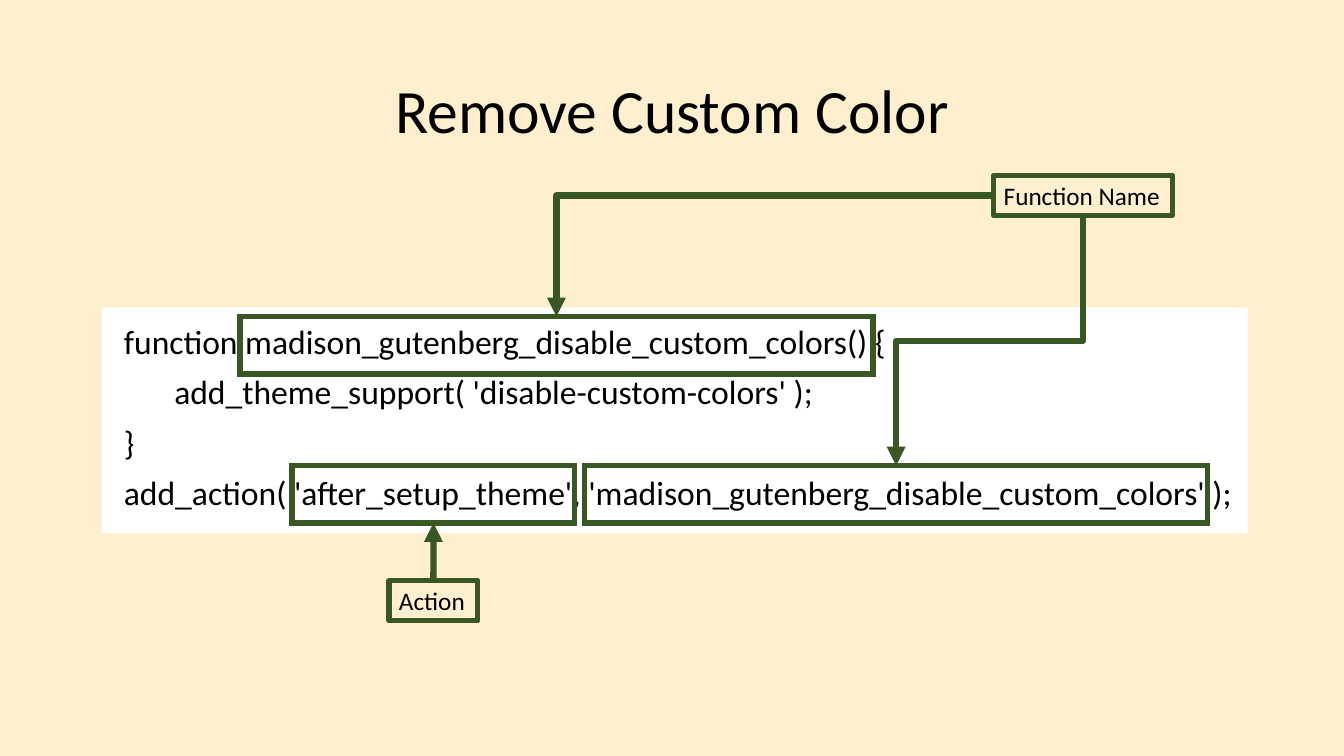
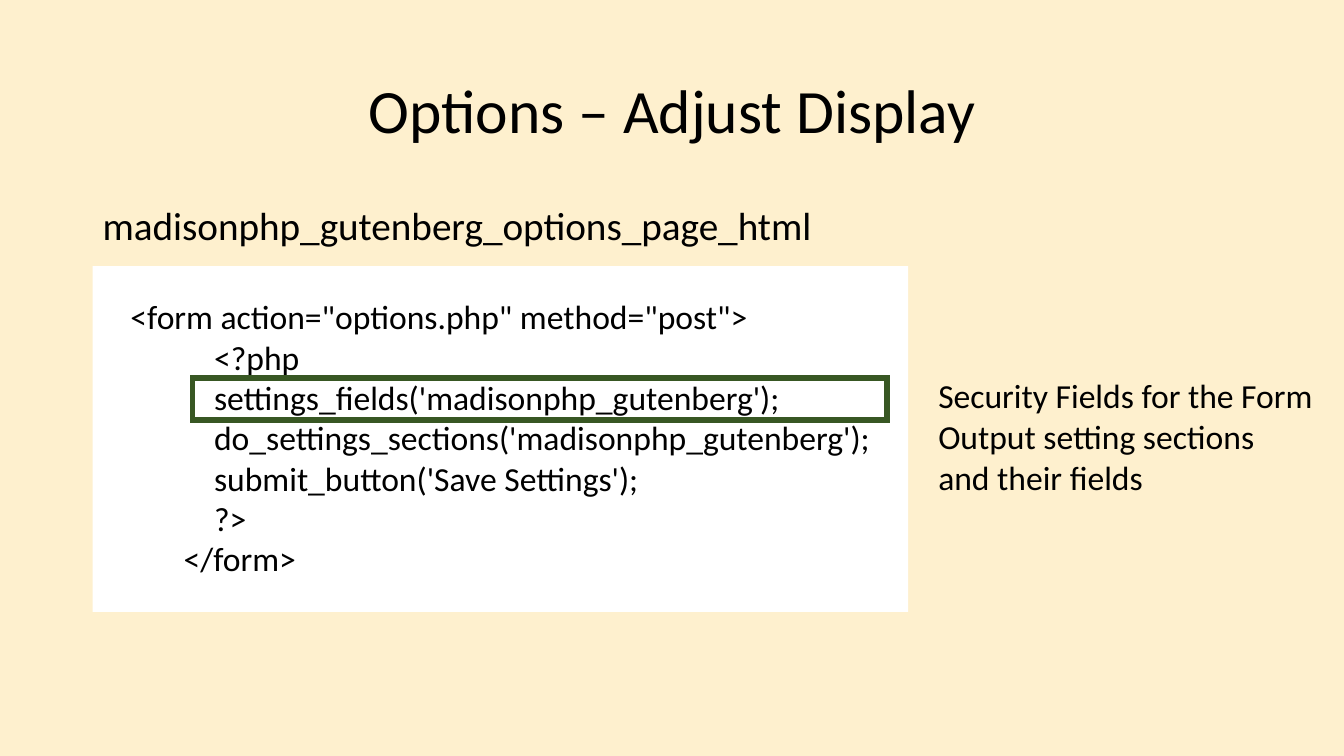
from dataclasses import dataclass

import lxml.etree
import pptx
import pptx.dml.color
import pptx.enum.shapes
import pptx.enum.text
import pptx.oxml.ns
import pptx.util
from pptx.shapes.autoshape import Shape
from pptx.shapes.connector import Connector
from pptx.slide import Slide

FONT = "Calibri"
CREAM = "FEF0CE"
GREEN = "385723"
WHITE = "FFFFFF"
BLACK = "000000"
TITLE_ONLY = 5
TOP, LEFT, BOTTOM = 0, 1, 2


@dataclass(frozen=True)
class Box:
    left: float
    top: float
    width: float
    height: float

    def lengths(self) -> list[pptx.util.Length]:
        return [pptx.util.Pt(value) for value in (self.left, self.top, self.width, self.height)]


@dataclass(frozen=True)
class Label:
    text: str
    box: Box
    wrap: bool = False


TITLE_BOX = Box(66.2, 28.8, 828, 104.4)

ACTION_CODE = """function madison_gutenberg_disable_custom_colors() {
\tadd_theme_support( 'disable-custom-colors' );
}
add_action( 'after_setup_theme', 'madison_gutenberg_disable_custom_colors' );"""

FORM_CODE = """ <form action="options.php" method="post">
            <?php
            settings_fields('madisonphp_gutenberg');
            do_settings_sections('madisonphp_gutenberg');
            submit_button('Save Settings');
            ?>
        </form>"""

DEFINITION_BOX = Box(171.4, 226.1, 452.2, 41)
HOOK_BOX = Box(208.8, 332.6, 201.6, 41)
CALLBACK_BOX = Box(417.6, 332.6, 445, 41)
FUNCTION_LABEL = Label("Function Name", Box(709.9, 125.3, 127.4, 28.8))
ACTION_LABEL = Label("Action", Box(277.9, 414.7, 63.4, 28.8), wrap=True)
NOTES = [
    Label("Security Fields for the Form", Box(663.1, 264.2, 284.4, 36)),
    Label("Output setting sections and their fields", Box(663.1, 293.8, 277.2, 65.5), wrap=True),
]


def color(value: str) -> pptx.dml.color.RGBColor:
    return pptx.dml.color.RGBColor.from_string(value)


def write_text(
    shape: Shape,
    text: str,
    *,
    size: float,
    align: pptx.enum.text.PP_ALIGN = pptx.enum.text.PP_ALIGN.LEFT,
    anchor: pptx.enum.text.MSO_ANCHOR = pptx.enum.text.MSO_ANCHOR.TOP,
    line_spacing: float = 1.0,
    space_before: float = 0,
    wrap: bool = True,
    grow: bool = False,
) -> None:
    frame = shape.text_frame
    frame.word_wrap = wrap
    frame.vertical_anchor = anchor
    auto_size = pptx.enum.text.MSO_AUTO_SIZE
    frame.auto_size = auto_size.SHAPE_TO_FIT_TEXT if grow else auto_size.NONE
    for index, line in enumerate(text.split("\n")):
        paragraph = frame.add_paragraph() if index else frame.paragraphs[0]
        paragraph.alignment = align
        paragraph.line_spacing = line_spacing
        paragraph.space_before = pptx.util.Pt(space_before if index else 0)
        run = paragraph.add_run()
        run.text = line
        run.font.name = FONT
        run.font.size = pptx.util.Pt(size)
        run.font.color.rgb = color(BLACK)


def add_text(slide: Slide, text: str, box: Box, **text_format) -> Shape:
    shape = slide.shapes.add_textbox(*box.lengths())
    write_text(shape, text, **text_format)
    return shape


def set_outline(shape: Shape | Connector, width: float) -> lxml.etree._Element:
    shape.line.color.rgb = color(GREEN)
    shape.line.width = pptx.util.Pt(width)
    return shape._element.spPr.find(pptx.oxml.ns.qn("a:ln"))


def add_rectangle(slide: Slide, box: Box) -> Shape:
    shape = slide.shapes.add_shape(pptx.enum.shapes.MSO_SHAPE.RECTANGLE, *box.lengths())
    shape.shadow.inherit = False
    return shape


def add_panel(slide: Slide, box: Box) -> None:
    shape = add_rectangle(slide, box)
    shape.fill.solid()
    shape.fill.fore_color.rgb = color(WHITE)
    shape.line.fill.background()


def add_highlight(slide: Slide, box: Box) -> Shape:
    shape = add_rectangle(slide, box)
    shape.fill.background()
    outline = set_outline(shape, 4)
    lxml.etree.SubElement(outline, pptx.oxml.ns.qn("a:miter"), lim="800000")
    return shape


def add_label(slide: Slide, label: Label) -> Shape:
    shape = add_text(slide, label.text, label.box, size=18, wrap=label.wrap, grow=True)
    set_outline(shape, 3.75)
    return shape


def add_arrow(
    slide: Slide, source: Shape, source_site: int, target: Shape, target_site: int, elbow: bool = True
) -> Connector:
    kinds = pptx.enum.shapes.MSO_CONNECTOR
    connector = slide.shapes.add_connector(kinds.ELBOW if elbow else kinds.STRAIGHT, 0, 0, 0, 0)
    connector.begin_connect(source, source_site)
    connector.end_connect(target, target_site)
    outline = set_outline(connector, 4.5)
    lxml.etree.SubElement(outline, pptx.oxml.ns.qn("a:tailEnd"), type="triangle")
    lxml.etree.SubElement(connector._element.spPr, pptx.oxml.ns.qn("a:effectLst"))
    return connector


def bend_once(connector: Connector) -> None:
    geometry = connector._element.spPr.find(pptx.oxml.ns.qn("a:prstGeom"))
    geometry.set("prst", "bentConnector2")


def leave_downwards(connector: Connector) -> None:
    left, top, width, height = connector.left, connector.top, connector.width, connector.height
    connector.left = left + (width - height) // 2
    connector.top = top + (height - width) // 2
    connector.width, connector.height = height, width
    transform = connector._element.spPr.find(pptx.oxml.ns.qn("a:xfrm"))
    for flip in ("flipH", "flipV"):
        transform.attrib.pop(flip, None)
    transform.set("rot", "5400000")


def add_titled_slide(presentation: pptx.presentation.Presentation, title: str) -> Slide:
    slide = presentation.slides.add_slide(presentation.slide_layouts[TITLE_ONLY])
    shape = slide.shapes.title
    shape.left, shape.top, shape.width, shape.height = TITLE_BOX.lengths()
    write_text(
        shape,
        title,
        size=44,
        align=pptx.enum.text.PP_ALIGN.CENTER,
        anchor=pptx.enum.text.MSO_ANCHOR.MIDDLE,
        line_spacing=0.9,
    )
    return slide


def build_custom_color(presentation: pptx.presentation.Presentation) -> None:
    slide = add_titled_slide(presentation, "Remove Custom Color")
    add_panel(slide, Box(72.7, 219.6, 818.6, 161.3))
    code_box = Box(81.4, 229, 810.7, 170.6)
    add_text(slide, ACTION_CODE, code_box, size=24, line_spacing=0.9, space_before=10)
    definition, hook, callback = [
        add_highlight(slide, box) for box in (DEFINITION_BOX, HOOK_BOX, CALLBACK_BOX)
    ]
    function_name = add_label(slide, FUNCTION_LABEL)
    action = add_label(slide, ACTION_LABEL)
    bend_once(add_arrow(slide, function_name, LEFT, definition, TOP))
    leave_downwards(add_arrow(slide, function_name, BOTTOM, callback, TOP))
    add_arrow(slide, action, TOP, hook, BOTTOM, elbow=False)


def build_options_display(presentation: pptx.presentation.Presentation) -> None:
    slide = add_titled_slide(presentation, "Options – Adjust Display")
    heading_box = Box(66.2, 144, 828, 56.9)
    add_text(slide, "madisonphp_gutenberg_options_page_html", heading_box, size=28, line_spacing=0.9)
    code = add_text(slide, FORM_CODE, Box(66.2, 190.1, 582.5, 247), size=24, wrap=False, grow=True)
    code.fill.solid()
    code.fill.fore_color.rgb = color(WHITE)
    frame = code.text_frame
    frame.margin_left = frame.margin_right = pptx.util.Pt(21.6)
    frame.margin_top = frame.margin_bottom = pptx.util.Pt(21.6)
    add_highlight(slide, Box(137.5, 270, 496.1, 30.2))
    for note in NOTES:
        add_text(slide, note.text, note.box, size=24, wrap=note.wrap, grow=True)


def main() -> None:
    presentation = pptx.Presentation()
    presentation.slide_width = pptx.util.Pt(960)
    presentation.slide_height = pptx.util.Pt(540)
    background = presentation.slide_master.background.fill
    background.solid()
    background.fore_color.rgb = color(CREAM)
    build_custom_color(presentation)
    build_options_display(presentation)
    presentation.save("out.pptx")


if __name__ == "__main__":
    main()
